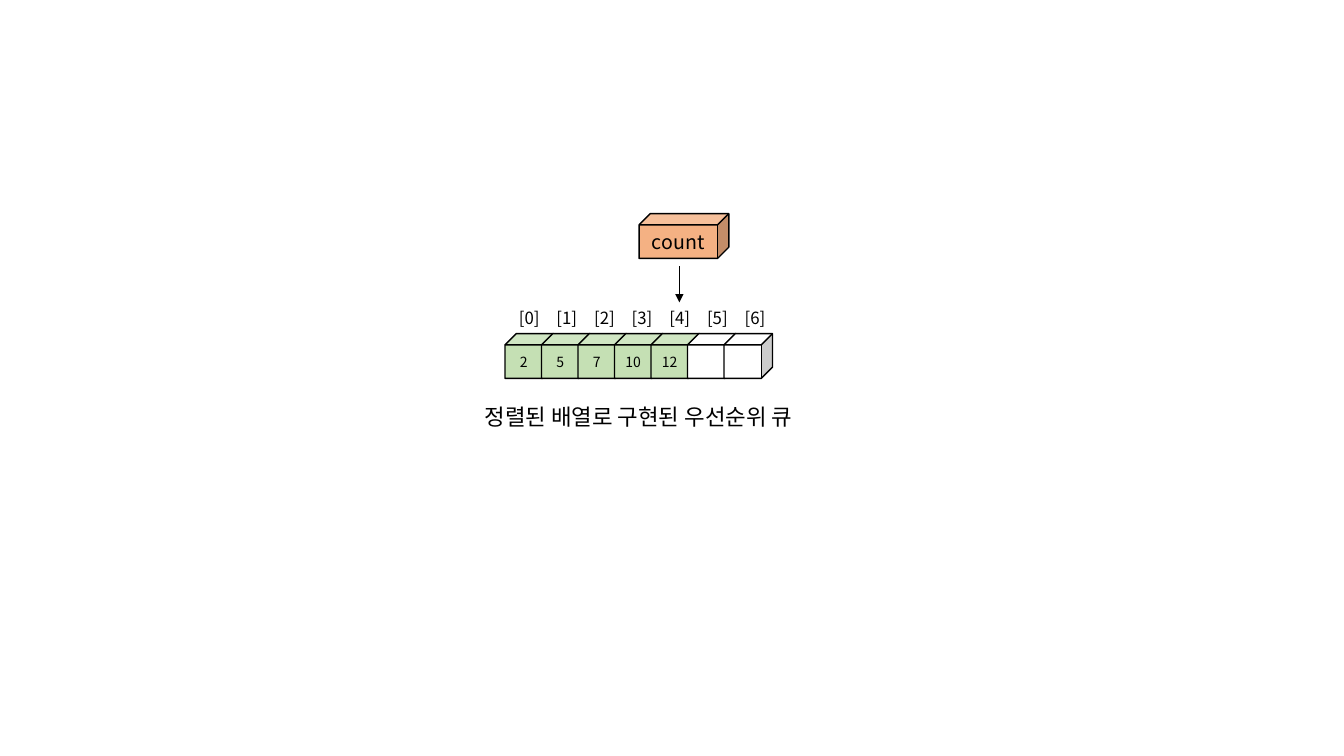
from lxml import etree
from pptx import Presentation
from pptx.dml.color import RGBColor
from pptx.enum.shapes import MSO_CONNECTOR, MSO_SHAPE
from pptx.enum.text import MSO_ANCHOR, MSO_AUTO_SIZE, PP_ALIGN
from pptx.oxml.ns import qn
from pptx.util import Pt

CUBE = MSO_SHAPE.CUBE
STRAIGHT = MSO_CONNECTOR.STRAIGHT
MIDDLE = MSO_ANCHOR.MIDDLE
CENTER = PP_ALIGN.CENTER
GROW = MSO_AUTO_SIZE.SHAPE_TO_FIT_TEXT

BLACK = RGBColor(0x00, 0x00, 0x00)
WHITE = RGBColor(0xFF, 0xFF, 0xFF)
GREEN = RGBColor(0xC5, 0xE0, 0xB4)
ORANGE = RGBColor(0xF4, 0xB1, 0x83)

FONT = "Noto Sans CJK KR"
QUEUE = ["2", "5", "7", "10", "12", "", ""]
CELL_LEFT, CELL_STEP = 360.7, 26.08
INDEX_LEFT, INDEX_STEP = 362.9, 26.88


def write_centered(frame, text, size):
    frame.text = text
    paragraph = frame.paragraphs[0]
    paragraph.alignment = CENTER
    for run in paragraph.runs:
        run.font.size = Pt(size)
        run.font.color.rgb = BLACK
        run.font.name = FONT
        east_asian = etree.SubElement(run.font._element, qn("a:ea"))
        east_asian.set("typeface", FONT)


def add_cube(slide, left, top, width, fill, text, size):
    cube = slide.shapes.add_shape(CUBE, Pt(left), Pt(top), Pt(width), Pt(32))
    cube.shadow.inherit = False
    cube.fill.solid()
    cube.fill.fore_color.rgb = fill
    cube.line.color.rgb = BLACK
    cube.line.width = Pt(1)
    cube.text_frame.vertical_anchor = MIDDLE
    if text:
        write_centered(cube.text_frame, text, size)


def add_label(slide, left, top, width, height, text, size):
    label = slide.shapes.add_textbox(Pt(left), Pt(top), Pt(width), Pt(height))
    label.text_frame.word_wrap = True
    label.text_frame.auto_size = GROW
    write_centered(label.text_frame, text, size)


def add_arrow(slide, x, top, bottom):
    arrow = slide.shapes.add_connector(STRAIGHT, Pt(x), Pt(top), Pt(x), Pt(bottom))
    arrow.line.color.rgb = BLACK
    arrow.line.width = Pt(1)
    head = etree.SubElement(arrow.line._get_or_add_ln(), qn("a:tailEnd"))
    head.set("type", "triangle")
    etree.SubElement(arrow._element.spPr, qn("a:effectLst"))


def main():
    presentation = Presentation()
    presentation.slide_width = Pt(960)
    presentation.slide_height = Pt(540)
    slide = presentation.slides.add_slide(presentation.slide_layouts[6])

    for index, value in enumerate(QUEUE):
        fill = GREEN if value else WHITE
        add_cube(slide, CELL_LEFT + index * CELL_STEP, 238.3, 34.6, fill, value, 10)
    add_label(slide, 277.9, 284.4, 356.4, 26.6, "정렬된 배열로 구현된 우선순위 큐", 16)
    for index in range(len(QUEUE)):
        add_label(slide, INDEX_LEFT + index * INDEX_STEP, 216, 30.2, 21.6, f"[{index}]", 12)
    add_cube(slide, 456.5, 152.6, 64.1, ORANGE, "count", 14)
    add_arrow(slide, 485.3, 190.1, 216)

    presentation.save("out.pptx")


if __name__ == "__main__":
    main()
